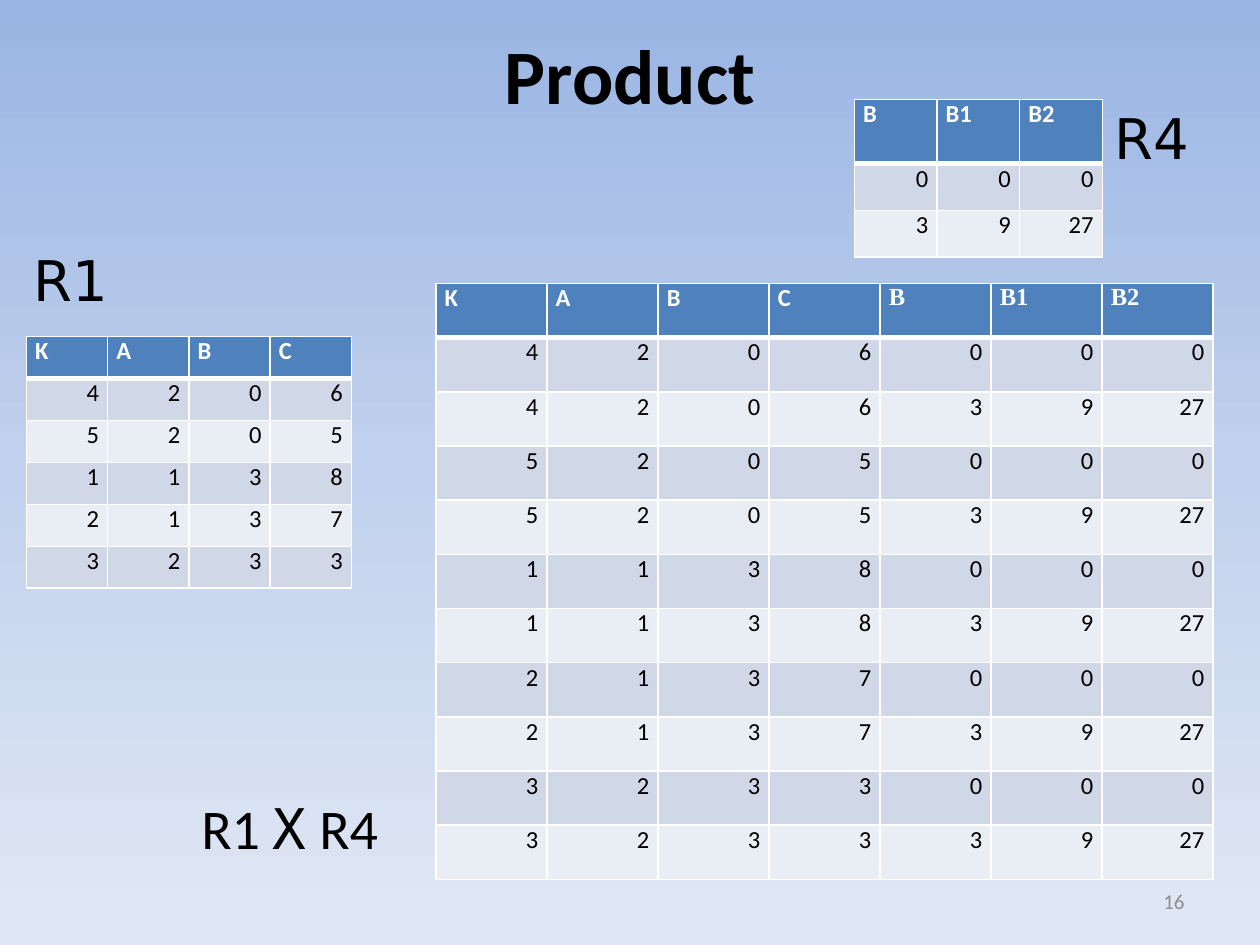
from itertools import product

from lxml.etree import SubElement
from pptx import Presentation
from pptx.dml.color import RGBColor
from pptx.enum.text import MSO_ANCHOR as Anchor, MSO_AUTO_SIZE as AutoSize, PP_ALIGN as Align
from pptx.oxml.ns import qn
from pptx.util import Inches, Pt

COLORS = {"black": "000000", "white": "FFFFFF", "gray": "8C8C8C",
          "header": "4F81BD", "odd": "D0D8E8", "even": "E9EDF4"}
BACKGROUND = {0: "9AB5E4", 50: "C2D1ED", 100: "E1E8F5"}


def write(frame, runs, size, color="black", bold=False, align=Align.LEFT):
    """Fill the first paragraph with (text, font name) runs."""
    paragraph = frame.paragraphs[0]
    paragraph.alignment = align
    for text, name in runs:
        run = paragraph.add_run()
        run.text = text
        for key, value in {"name": name, "size": Pt(size), "bold": bold}.items():
            setattr(run.font, key, value)
        run.font.color.rgb = RGBColor.from_string(COLORS[color])


def add_border(cell, side, width):
    line = SubElement(cell._tc.get_or_add_tcPr(), qn(f"a:ln{side}"), w=str(Pt(width)))
    fill = SubElement(line, qn("a:solidFill"))
    SubElement(fill, qn("a:srgbClr"), val=COLORS["white"])


presentation = Presentation()
presentation.slide_width, presentation.slide_height = Inches(10), Inches(7.5)
slide = presentation.slides.add_slide(presentation.slide_layouts[5])

# Background gradient, from top to bottom
background = slide.background.fill
background.gradient()
background.gradient_angle = 270
stops = slide.background._cSld.find(".//" + qn("a:gsLst"))
for stop in list(stops):
    stops.remove(stop)
for position, color in BACKGROUND.items():
    stop = SubElement(stops, qn("a:gs"), pos=str(position * 1000))
    SubElement(stop, qn("a:srgbClr"), val=color)

# Title
title = slide.shapes.title
for key, value in {"left": 0.5, "top": 0.17, "width": 9, "height": 0.83}.items():
    setattr(title, key, Inches(value))
title.text_frame.vertical_anchor = Anchor.MIDDLE
write(title.text_frame, [("Product", "Calibri")], 44, bold=True, align=Align.CENTER)

# Relations and their product
r1 = [(4, 2, 0, 6), (5, 2, 0, 5), (1, 1, 3, 8), (2, 1, 3, 7), (3, 2, 3, 3)]
r4 = [(0, 0, 0), (3, 9, 27)]
r1_by_r4 = [left + right for left, right in product(r1, r4)]

# Tables: header, rows, left, top, width, header height, row height
tables = [
    (["K", "A", "B", "C", "B", "B1", "B2"], r1_by_r4, 3.46, 2.25, 6.17, 0.43, 0.43),
    (["B", "B1", "B2"], r4, 6.78, 0.79, 1.97, 0.51, 0.37),
    (["K", "A", "B", "C"], r1, 0.21, 2.67, 2.58, 1 / 3, 1 / 3),
]
for header, rows, left, top, width, header_height, row_height in tables:
    height = header_height + row_height * len(rows)
    table = slide.shapes.add_table(len(rows) + 1, len(header), Inches(left), Inches(top),
                                   Inches(width), Inches(height)).table
    for column in table.columns:
        column.width = Inches(width / len(header))
    for r, values in enumerate([header, *rows]):
        is_header = r == 0
        table.rows[r].height = Inches(header_height if is_header else row_height)
        for c, value in enumerate(values):
            cell = table.cell(r, c)
            cell.margin_left = cell.margin_right = Inches(0.07)
            cell.margin_top = cell.margin_bottom = 0
            for side in "LRTB":
                thick = (is_header and side == "B") or (r == 1 and side == "T")
                add_border(cell, side, 3 if thick else 1)
            shade = "header" if is_header else "odd" if r % 2 else "even"
            cell.fill.solid()
            cell.fill.fore_color.rgb = RGBColor.from_string(COLORS[shade])
            # The columns that R4 adds to the product have serif headings
            font = "Times New Roman" if is_header and c >= 4 else "Calibri"
            write(cell.text_frame, [(str(value), font)], 14,
                  "white" if is_header else "black", is_header,
                  Align.LEFT if is_header else Align.RIGHT)

# Relation labels and slide number
product_runs = [("R1 ", "Calibri"), ("Χ", "DejaVu Sans Mono"), (" R4", "Calibri")]
labels = [
    ([("R1", "DejaVu Sans")], (0.17, 1.9, 1, 0.64), 32, "black", Align.LEFT, Anchor.TOP),
    ([("R4", "DejaVu Sans")], (8.75, 0.77, 0.92, 0.64), 32, "black", Align.LEFT, Anchor.TOP),
    (product_runs, (1.5, 6.25, 1.76, 0.64), 32, "black", Align.LEFT, Anchor.TOP),
    ([("16", "Calibri")], (7.17, 6.95, 2.33, 0.4), 12, "gray", Align.RIGHT, Anchor.MIDDLE),
]
for runs, box, size, color, align, anchor in labels:
    frame = slide.shapes.add_textbox(*map(Inches, box)).text_frame
    settings = {"word_wrap": True, "vertical_anchor": anchor,
                "auto_size": AutoSize.SHAPE_TO_FIT_TEXT if anchor == Anchor.TOP else AutoSize.NONE}
    for key, value in settings.items():
        setattr(frame, key, value)
    write(frame, runs, size, color, align=align)

presentation.save("out.pptx")
